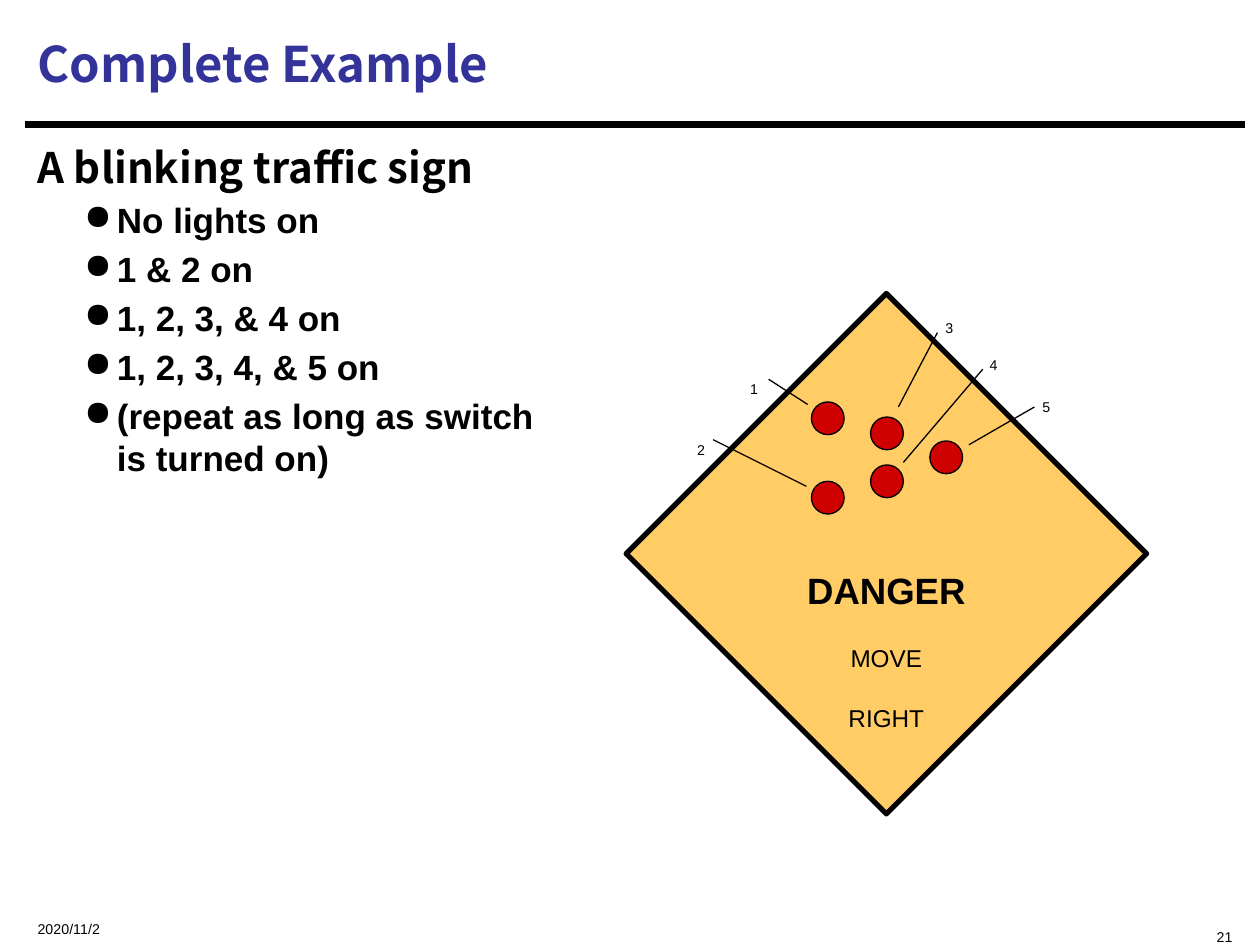
import pptx
import pptx.util
import pptx.dml.color
import pptx.enum.shapes
import pptx.enum.text
import lxml.etree

Inches = pptx.util.Inches
Pt = pptx.util.Pt
Kind = pptx.enum.shapes.MSO_SHAPE
Align = pptx.enum.text.PP_ALIGN
Anchor = pptx.enum.text.MSO_ANCHOR
INK = {"black": "000000", "title": "333399", "sign": "FFCC66", "light": "CE0000"}
HEAD = "Noto Sans CJK SC"
BODY = "Arial"


class Page:
    def __init__(self, deck):
        self.slide = deck.slides.add_slide(deck.slide_layouts[5])

    def color(self, name):
        return pptx.dml.color.RGBColor.from_string(INK[name])

    def style(self, font, size, face=BODY, bold=False, ink="black"):
        font.size, font.name, font.bold = Pt(size), face, bold
        font.color.rgb = self.color(ink)

    def title(self, text, box):
        shape = self.slide.shapes.title
        shape.left, shape.top, shape.width, shape.height = map(Inches, box)
        frame = shape.text_frame
        frame.text = text
        frame.vertical_anchor = Anchor.MIDDLE
        para = frame.paragraphs[0]
        para.alignment = Align.LEFT
        self.style(para.font, 28, HEAD, True, "title")

    def frame(self, box, wrap=True, anchor=Anchor.TOP):
        frame = self.slide.shapes.add_textbox(*map(Inches, box)).text_frame
        frame.word_wrap = wrap
        frame.vertical_anchor = anchor
        return frame

    def lowered(self, para, text, size, bold=False):
        run = para.add_run()
        run.text = text
        self.style(run.font, size, bold=bold)
        run.font._element.set("baseline", "-33000")

    def label(self, text, box, align=Align.CENTER, wrap=False, anchor=Anchor.TOP):
        para = self.frame(box, wrap, anchor).paragraphs[0]
        para.alignment = align
        self.lowered(para, text, 14)

    def warning(self, rows, box):
        para = self.frame(box, False).paragraphs[0]
        para.alignment = Align.CENTER
        for i, (text, size, bold) in enumerate(rows):
            if i:
                para.add_line_break()
            self.lowered(para, text, size, bold)

    def steps(self, head, items, box):
        frame = self.frame(box)
        para = frame.paragraphs[0]
        para.text = head
        para.space_before = Pt(4.8)
        self.style(para.font, 24, HEAD, True)
        for item in items:
            para = frame.add_paragraph()
            para.text = item
            para.level = 1
            para.space_before = Pt(4)
            self.style(para.font, 20, bold=True)
            self.bullet(para)

    def bullet(self, para):
        prop = para._p.get_or_add_pPr()
        prop.set("marL", str(Inches(0.63)))
        prop.set("indent", str(Inches(-0.26)))
        mark = lxml.etree.Element(pptx.oxml.ns.qn("a:buChar"), char="●")
        prop.find(pptx.oxml.ns.qn("a:spcBef")).addnext(mark)

    def shape(self, kind, box, fill, width, home=None):
        home = home or self.slide.shapes
        shape = home.add_shape(kind, *map(Inches, box))
        shape.shadow.inherit = False
        shape.fill.solid()
        shape.fill.fore_color.rgb = self.color(fill)
        shape.line.color.rgb = self.color("black")
        shape.line.width = Pt(width)

    def lights(self, spots, size):
        group = self.slide.shapes.add_group_shape()
        for x, y in spots:
            self.shape(Kind.OVAL, (x, y, size, size), "light", 0.75, group.shapes)

    def line(self, ends, width):
        line = self.slide.shapes.add_connector(
            pptx.enum.shapes.MSO_CONNECTOR.STRAIGHT, *map(Inches, ends))
        line.line.color.rgb = self.color("black")
        line.line.width = Pt(width)
        lxml.etree.SubElement(line._element.spPr, pptx.oxml.ns.qn("a:effectLst"))


def main():
    deck = pptx.Presentation()
    deck.slide_width, deck.slide_height = Inches(10), Inches(7.5)
    page = Page(deck)
    page.line((0.2, 0.99, 9.88, 0.99), 3.75)
    page.label("2020/11/2", (0.2, 7.17, 2.5, 0.25), Align.LEFT, True, Anchor.MIDDLE)
    page.label("21", (6.88, 7.17, 3, 0.25), Align.RIGHT, True)
    page.title("Complete Example", (0.2, 0.08, 9.67, 0.84))
    page.steps("A blinking traffic sign", [
        "No lights on",
        "1 & 2 on",
        "1, 2, 3, & 4 on",
        "1, 2, 3, 4, & 5 on",
        "(repeat as long as switch\vis turned on)",
    ], (0.2, 1.07, 9.67, 5.99))
    page.shape(Kind.DIAMOND, (4.97, 2.33, 4.13, 4.13), "sign", 3)
    page.warning([("DANGER", 36, True), ("MOVE", 24, False), ("RIGHT", 24, False)],
                 (5.85, 4.08, 2.37, 1.5))
    page.lights([(6.44, 3.19), (6.44, 3.82), (6.91, 3.31), (6.91, 3.69),
                 (7.38, 3.5)], 0.26)
    tags = [(5.83, 2.82), (5.41, 3.31), (7.38, 2.34), (7.73, 2.63), (8.15, 2.97)]
    for i, (x, y) in enumerate(tags, 1):
        page.label(str(i), (x, y, 0.31, 0.33))
    for ends in [(6.1, 3.01, 6.41, 3.21), (5.66, 3.49, 6.4, 3.86),
                 (7.44, 2.64, 7.13, 3.23), (7.8, 2.93, 7.17, 3.67),
                 (8.21, 3.23, 7.69, 3.53)]:
        page.line(ends, 0.75)
    deck.save("out.pptx")


if __name__ == "__main__":
    main()
